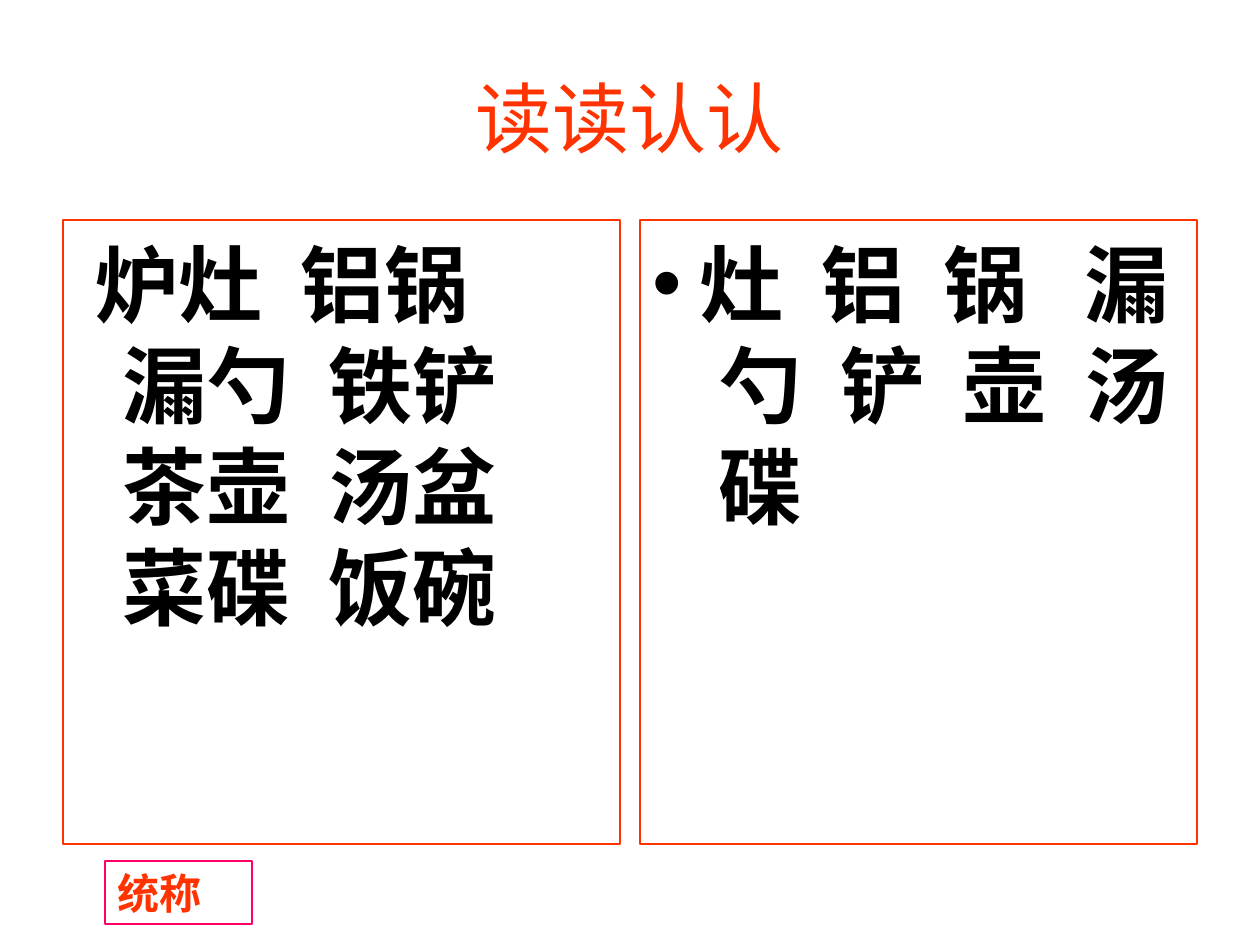
import pptx
import pptx.dml.color
import pptx.enum.shapes
import pptx.enum.text
import pptx.oxml.ns
import pptx.util
from lxml import etree

RED, PINK, BLACK = "FF3300", "FF0066", "000000"
SANS, HAN = "Arial", "Noto Sans CJK SC"
GAP = 1080


def px(n):
    return pptx.util.Emu(round(n * 914400 / 126))


def paint(hue):
    return pptx.dml.color.RGBColor.from_string(hue)


def style(run, size, face, hue, bold=False):
    font = run.font
    font.size = pptx.util.Pt(size)
    font.name = face
    font.bold = bold
    font.color.rgb = paint(hue)
    east = etree.SubElement(run._r.get_or_add_rPr(), pptx.oxml.ns.qn("a:ea"))
    east.set("typeface", HAN)


def frame(slide, box, hue):
    kind = pptx.enum.shapes.MSO_SHAPE.RECTANGLE
    shape = slide.shapes.add_shape(kind, *map(px, box))
    shape.shadow.inherit = False
    shape.fill.background()
    shape.line.color.rgb = paint(hue)
    shape.line.width = pptx.util.Pt(0.75)
    text = shape.text_frame
    text.word_wrap = True
    text.vertical_anchor = pptx.enum.text.MSO_ANCHOR.TOP
    return text


def title(slide, box):
    shape = slide.shapes.title
    shape.left, shape.top, shape.width, shape.height = map(px, box)
    text = shape.text_frame
    text.text = "读读认认"
    text.vertical_anchor = pptx.enum.text.MSO_ANCHOR.MIDDLE
    para = text.paragraphs[0]
    para.alignment = pptx.enum.text.PP_ALIGN.CENTER
    style(para.runs[0], 44, SANS, RED)


def row(para, words, left, mark=False, wide=None):
    para.alignment = pptx.enum.text.PP_ALIGN.LEFT
    para.line_spacing = pptx.util.Pt(57.7)
    para.space_before = pptx.util.Pt(0)
    props = para._p.get_or_add_pPr()
    props.set("marL", str(px(left)))
    props.set("indent", str(-px(left) if mark else 0))
    if mark:
        font = etree.SubElement(props, pptx.oxml.ns.qn("a:buFont"))
        font.set("typeface", SANS)
        dot = etree.SubElement(props, pptx.oxml.ns.qn("a:buChar"))
        dot.set("char", "•")
    for i, word in enumerate(words.split()):
        if i:
            gap = para.add_run()
            gap.text = " "
            style(gap, 48, HAN, BLACK, True)
            space = GAP * 2 if i == wide else GAP
            gap._r.get_or_add_rPr().set("spc", str(space))
        run = para.add_run()
        run.text = word
        style(run, 48, HAN, BLACK, True)


def panel(slide, box, rows):
    text = frame(slide, box, RED)
    text.margin_top = px(12)
    for i, spec_row in enumerate(rows):
        para = text.add_paragraph() if i else text.paragraphs[0]
        row(para, *spec_row)


def label(slide, box):
    text = frame(slide, box, PINK)
    text.vertical_anchor = pptx.enum.text.MSO_ANCHOR.MIDDLE
    text.text = "统称"
    para = text.paragraphs[0]
    para.alignment = pptx.enum.text.PP_ALIGN.LEFT
    style(para.runs[0], 24, SANS, RED, True)


def main():
    deck = pptx.Presentation()
    deck.slide_width, deck.slide_height = px(1260), px(945)
    slide = deck.slides.add_slide(deck.slide_layouts[5])
    title(slide, (63, 38, 1134, 157))
    panel(slide, (63, 220, 557, 624), [
        ("炉灶 铝锅", 19),
        ("漏勺 铁铲", 47),
        ("茶壶 汤盆", 47),
        ("菜碟 饭碗", 47),
    ])
    panel(slide, (640, 220, 557, 624), [
        ("灶 铝 锅 漏", 47, True, 3),
        ("勺 铲 壶 汤", 66),
        ("碟", 66),
    ])
    label(slide, (105, 861, 147, 63))
    deck.save("out.pptx")


if __name__ == "__main__":
    main()
